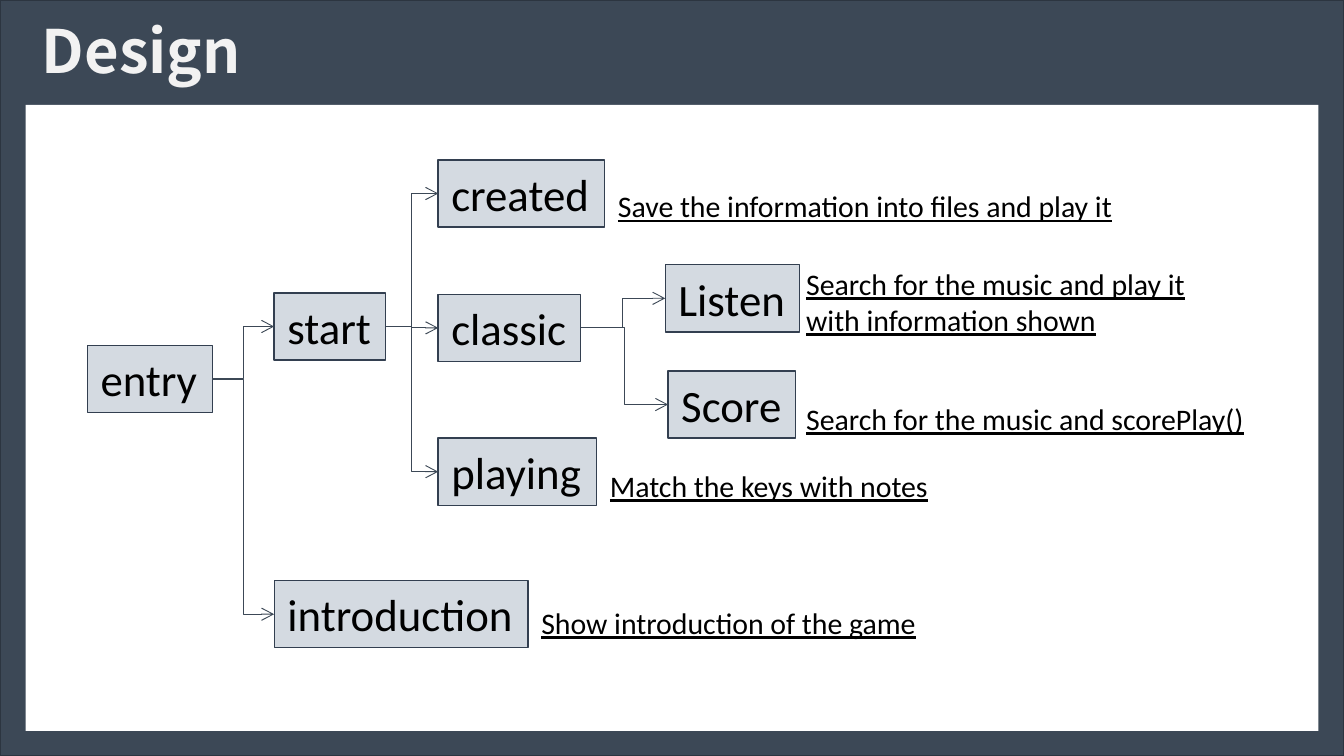
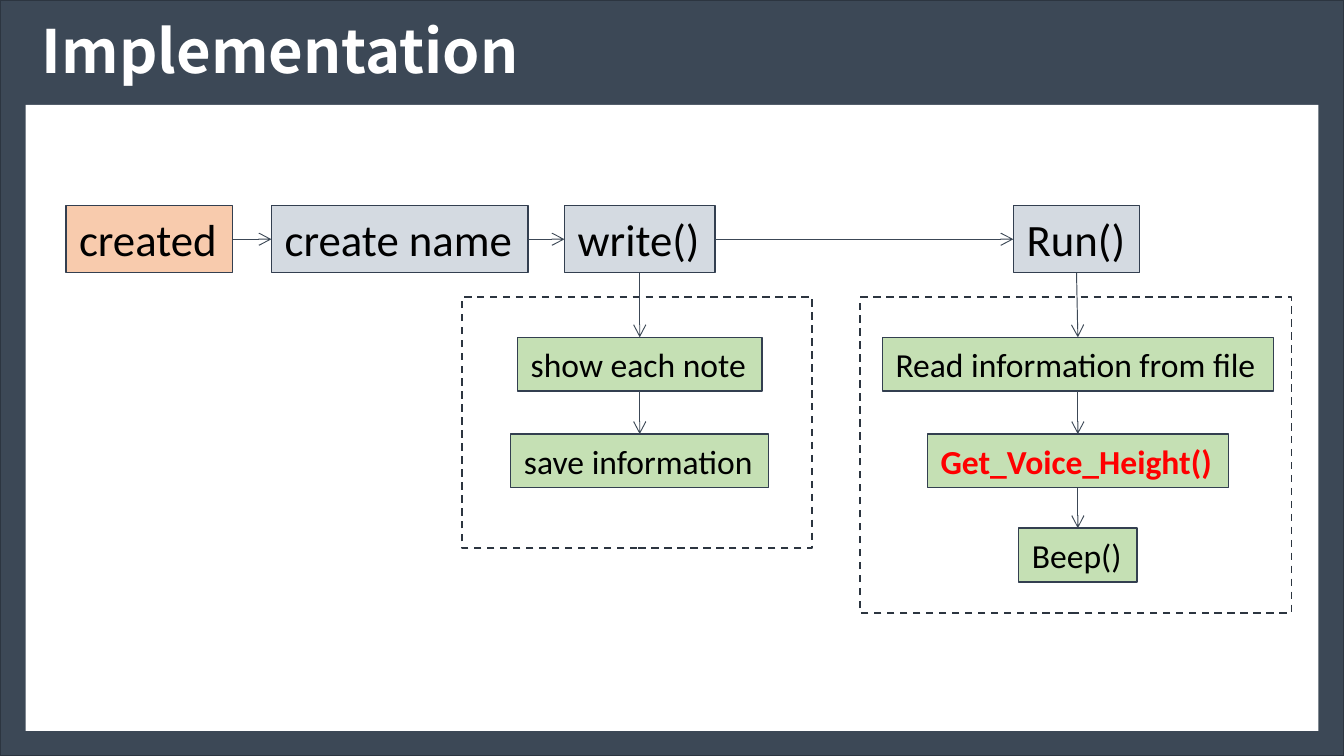
from dataclasses import dataclass

from lxml import etree
from pptx import Presentation
from pptx.dml.color import RGBColor
from pptx.enum.dml import MSO_LINE
from pptx.enum.shapes import MSO_CONNECTOR, MSO_SHAPE
from pptx.enum.text import MSO_ANCHOR, MSO_AUTO_SIZE, PP_ALIGN
from pptx.oxml.ns import qn
from pptx.util import Inches, Pt

RECTANGLE = MSO_SHAPE.RECTANGLE
STRAIGHT, ELBOW = MSO_CONNECTOR.STRAIGHT, MSO_CONNECTOR.ELBOW
DASH = MSO_LINE.DASH
LEFT, MIDDLE, TOP_ANCHOR = PP_ALIGN.LEFT, MSO_ANCHOR.MIDDLE, MSO_ANCHOR.TOP
FIT_SHAPE, NO_FIT = MSO_AUTO_SIZE.SHAPE_TO_FIT_TEXT, MSO_AUTO_SIZE.NONE
TOP, LEFT_SIDE, BOTTOM, RIGHT_SIDE = range(4)  # connection sites of a rectangle


@dataclass(frozen=True)
class Theme:
    slate: RGBColor = RGBColor.from_string("3C4856")
    frame_line: RGBColor = RGBColor.from_string("2C3540")
    box_line: RGBColor = RGBColor.from_string("333F50")
    white: RGBColor = RGBColor.from_string("FFFFFF")
    off_white: RGBColor = RGBColor.from_string("F2F2F2")
    black: RGBColor = RGBColor.from_string("000000")
    red: RGBColor = RGBColor.from_string("FF0000")
    grey: RGBColor = RGBColor.from_string("D4DAE1")
    orange: RGBColor = RGBColor.from_string("F8CBAD")
    green: RGBColor = RGBColor.from_string("C5E0B4")
    title_font: str = "Noto Sans CJK SC"
    body_font: str = "Calibri"
    title_size: Pt = Pt(32)
    node_size: Pt = Pt(24)
    step_size: Pt = Pt(18)
    note_size: Pt = Pt(16)


theme = Theme()
SLIDE_WIDTH = 10
SLIDE_HEIGHT = SLIDE_WIDTH * 9 / 16
NODE_HEIGHT, STEP_HEIGHT = 0.5, 0.4


def add_box(page, text, left, top, width, height, size, fill=None):
    """Add a text box; a filled one gets an outline, a plain one is underlined."""
    box = page.shapes.add_textbox(Inches(left), Inches(top), Inches(width), Inches(height))
    if fill is not None:
        box.fill.solid()
        box.fill.fore_color.rgb = fill
        box.line.color.rgb = theme.box_line
        box.line.width = Pt(0.75)
    frame = box.text_frame
    frame.text = text
    frame.word_wrap = False
    frame.auto_size = FIT_SHAPE
    frame.vertical_anchor = TOP_ANCHOR
    for para in frame.paragraphs:
        for span in para.runs:
            span.font.name = theme.body_font
            span.font.size = size
            span.font.color.rgb = theme.black
            span.font.underline = True if fill is None else None
    return box


def add_arrow(page, kind, source, source_side, target, target_side):
    """Join two boxes with an open-headed arrow."""
    arrow = page.shapes.add_connector(kind, source.left, source.top, target.left, target.top)
    arrow.begin_connect(source, source_side)
    arrow.end_connect(target, target_side)
    arrow.line.color.rgb = theme.slate
    arrow.line.width = Pt(0.5)
    outline = arrow.line._get_or_add_ln()
    etree.SubElement(outline, qn("a:tailEnd"), type="arrow")
    etree.SubElement(arrow._element.spPr, qn("a:effectLst"))


deck = Presentation()
deck.slide_width, deck.slide_height = Inches(SLIDE_WIDTH), Inches(SLIDE_HEIGHT)
layout = deck.slide_layouts[5]

# Layout: keep only the title placeholder
for holder in list(layout.placeholders):
    if holder.placeholder_format.idx == 0:
        holder.left, holder.top = Inches(0.21), Inches(0.03)
        holder.width, holder.height = Inches(8.62), Inches(0.75)
    else:
        holder._element.getparent().remove(holder._element)

# Slides and their titles
pages = []
for heading, colour in [("Design", theme.off_white), ("Implementation", theme.white)]:
    page = deck.slides.add_slide(layout)
    frame = page.shapes.title.text_frame
    frame.text = heading
    frame.vertical_anchor = MIDDLE
    frame.auto_size = NO_FIT
    para = frame.paragraphs[0]
    para.alignment = LEFT
    para.line_spacing = 0.9
    font = para.runs[0].font
    font.name, font.size, font.bold = theme.title_font, theme.title_size, True
    font.color.rgb = colour
    # East Asian and Latin text share the title face
    etree.SubElement(para.runs[0]._r.rPr, qn("a:ea"), typeface=theme.title_font)
    pages.append(page)
design, implementation = pages

# Shared background: slate border and white panel, moved behind the layout title
backdrop = [
    (0, 0, SLIDE_WIDTH, SLIDE_HEIGHT, theme.slate),
    (0.19, 0.78, 9.62, 4.66, theme.white),
]
for order, (left, top, width, height, fill) in enumerate(backdrop):
    panel = design.shapes.add_shape(
        RECTANGLE, Inches(left), Inches(top), Inches(width), Inches(height))
    panel.shadow.inherit = False
    panel.fill.solid()
    panel.fill.fore_color.rgb = fill
    if order == 0:
        panel.line.color.rgb = theme.frame_line
        panel.line.width = Pt(1)
    else:
        panel.line.fill.background()
    layout.shapes._spTree.insert(2 + order, panel._element)

# Design: screens of the game
screens = {}
for name, left, top, width in [
    ("entry", 0.65, 2.57, 0.93),
    ("start", 2.04, 2.18, 0.83),
    ("introduction", 2.04, 4.32, 1.89),
    ("created", 3.26, 1.19, 1.24),
    ("classic", 3.26, 2.19, 1.06),
    ("playing", 3.26, 3.26, 1.18),
    ("Listen", 4.95, 1.97, 1.0),
    ("Score", 4.97, 2.76, 0.95),
]:
    screens[name] = add_box(
        design, name, left, top, width, NODE_HEIGHT, theme.node_size, theme.grey)

# Design: what each end screen does
for text, left, top, width, height in [
    ("Save the information into files and play it", 4.5, 1.35, 3.93, 0.37),
    ("Search for the music and play it\nwith information shown", 5.9, 1.93, 3.05, 0.64),
    ("Search for the music and scorePlay()", 5.9, 2.93, 3.5, 0.37),
    ("Match the keys with notes", 4.44, 3.43, 2.6, 0.37),
    ("Show introduction of the game", 3.93, 4.45, 3.03, 0.37),
]:
    add_box(design, text, left, top, width, height, theme.note_size)

# Design: tree branches
branches = {
    "entry": ["start", "introduction"],
    "start": ["created", "classic", "playing"],
    "classic": ["Listen", "Score"],
}
for parent, children in branches.items():
    for child in children:
        add_arrow(design, ELBOW, screens[parent], RIGHT_SIDE, screens[child], LEFT_SIDE)

# Implementation: dashed groups
for left, width, height in [(3.44, 2.6, 1.87), (6.4, 3.21, 2.35)]:
    group = implementation.shapes.add_shape(
        RECTANGLE, Inches(left), Inches(2.21), Inches(width), Inches(height))
    group.shadow.inherit = False
    group.fill.solid()
    group.fill.fore_color.rgb = theme.white
    group.line.color.rgb = theme.frame_line
    group.line.width = Pt(1)
    group.line.dash_style = DASH

# Implementation: main row
stages = []
for name, left, width, fill in [
    ("created", 0.49, 1.24, theme.orange),
    ("create name", 2.02, 1.91, theme.grey),
    ("write()", 4.2, 1.12, theme.grey),
    ("Run()", 7.54, 0.94, theme.grey),
]:
    stages.append(add_box(
        implementation, name, left, 1.53, width, NODE_HEIGHT, theme.node_size, fill))
for source, target in zip(stages, stages[1:]):
    add_arrow(implementation, STRAIGHT, source, RIGHT_SIDE, target, LEFT_SIDE)

# Implementation: steps below a stage, centred on one axis
step_tops = [2.51, 3.23, 3.93]
for stage, centre, steps in [
    (stages[2], 4.76, [("show each note", 1.82), ("save information", 1.92)]),
    (stages[3], 8.02, [("Read information from file", 2.91),
                       ("Get_Voice_Height()", 2.24), ("Beep()", 0.88)]),
]:
    above = stage
    for (name, width), top in zip(steps, step_tops):
        step = add_box(implementation, name, centre - width / 2, top, width,
                       STEP_HEIGHT, theme.step_size, theme.green)
        if name == "Get_Voice_Height()":
            font = step.text_frame.paragraphs[0].runs[0].font
            font.bold = True
            font.color.rgb = theme.red
        add_arrow(implementation, STRAIGHT, above, BOTTOM, step, TOP)
        above = step

deck.save("out.pptx")
